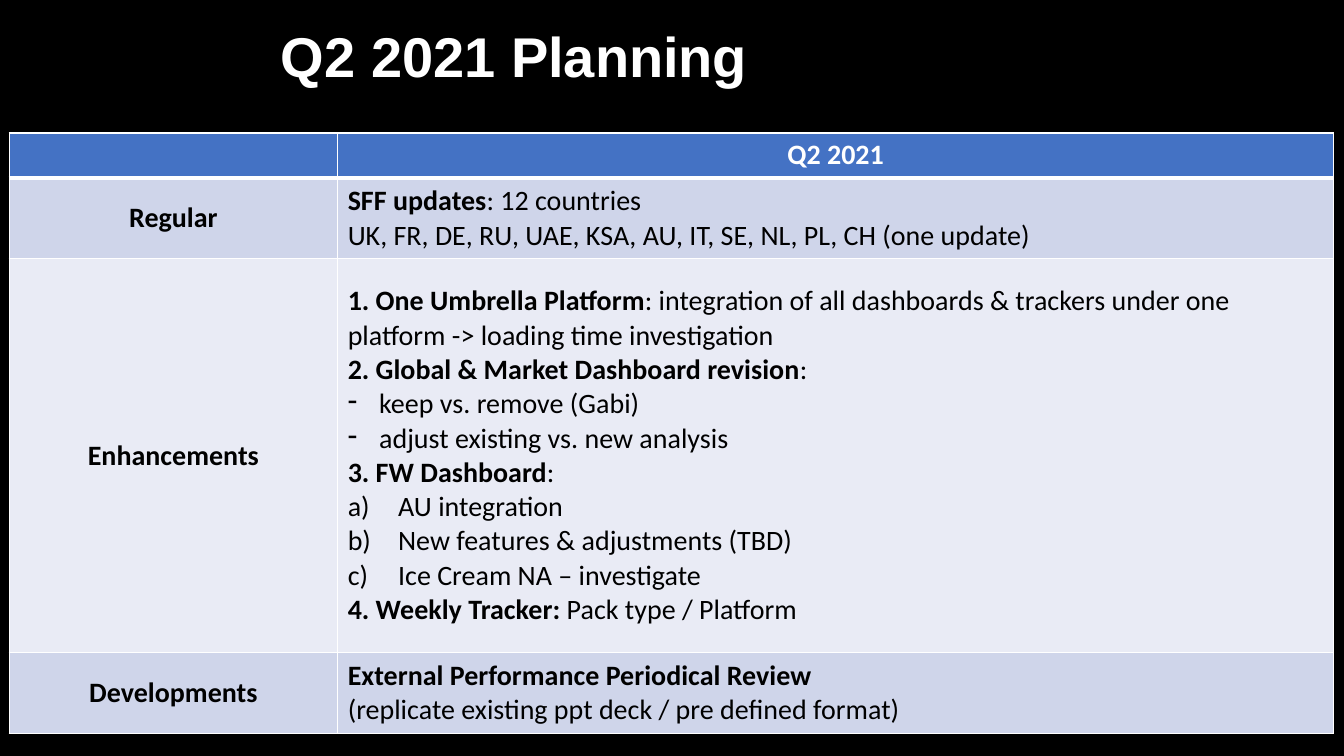
from lxml.etree import SubElement
from pptx import Presentation
from pptx.dml.color import RGBColor
from pptx.enum.shapes import MSO_SHAPE as Preset
from pptx.enum.text import MSO_ANCHOR as Anchor, MSO_AUTO_SIZE as AutoSize, PP_ALIGN as Align
from pptx.oxml.ns import qn
from pptx.util import Cm, Pt

BULLETS = {
    "-": (0.79, "a:buChar", {"char": "-"}),
    "a)": (1.27, "a:buAutoNum", {"type": "alphaLcParenR"}),
}
REGULAR = [
    ("", "SFF updates", ": 12 countries"),
    ("", "", "UK, FR, DE, RU, UAE, KSA, AU, IT, SE, NL, PL, CH (one update)"),
]
ENHANCEMENTS = [
    ("", "1. One Umbrella Platform", ": integration of all dashboards & trackers "
     "under one platform -> loading time investigation"),
    ("", "2. Global & Market Dashboard revision", ":"),
    ("-", "", "keep vs. remove (Gabi)"),
    ("-", "", "adjust existing vs. new analysis"),
    ("", "3. FW Dashboard", ":"),
    ("a)", "", "AU integration"),
    ("a)", "", "New features & adjustments (TBD)"),
    ("a)", "", "Ice Cream NA – investigate"),
    ("", "4. Weekly Tracker: ", "Pack type / Platform"),
]
DEVELOPMENTS = [
    ("", "External Performance Periodical Review", ""),
    ("", "", "(replicate existing ppt deck / pre defined format)"),
]
PLAN = [
    (1.14, "4472C4", "", [("", "Q2 2021", "")]),
    (2.03, "CFD5EA", "Regular", REGULAR),
    (9.93, "E9EBF5", "Enhancements", ENHANCEMENTS),
    (2.03, "CFD5EA", "Developments", DEVELOPMENTS),
]


def paint(colour_format, colour):
    """Set a fill or font colour from a hex string."""
    colour_format.rgb = RGBColor.from_string(colour)


def set_font(paragraph, family, size, colour):
    """Set the font that all runs of a paragraph share."""
    font = paragraph.font
    font.name, font.size = family, Pt(size)
    paint(font.color, colour)


def add_backdrop(slide, width, height, colour):
    """Cover the slide with a plain colour."""
    backdrop = slide.shapes.add_shape(Preset.RECTANGLE, 0, 0, width, height)
    backdrop.shadow.inherit = False
    backdrop.fill.solid()
    paint(backdrop.fill.fore_color, colour)
    backdrop.line.fill.background()


def add_title(slide, wording):
    """Add the slide heading."""
    frame = slide.shapes.add_textbox(Cm(6.83), Cm(0.43), Cm(25.35), Cm(1.96)).text_frame
    frame.word_wrap = True
    frame.auto_size = AutoSize.SHAPE_TO_FIT_TEXT
    heading = frame.paragraphs[0]
    heading.text = wording
    set_font(heading, "Arial", 40, "FFFFFF")
    heading.font.bold = True


def set_borders(cell, header):
    """Draw white borders, with a heavy rule under the header."""
    properties = cell._tc.get_or_add_tcPr()
    for side in "LRTB":
        weight = 3 if header and side == "B" else 1
        border = SubElement(properties, qn(f"a:ln{side}"), w=str(Pt(weight)))
        SubElement(SubElement(border, qn("a:solidFill")), qn("a:srgbClr"), val="FFFFFF")


def set_bullet(paragraph, mark):
    """Give a paragraph a hanging bullet or letter."""
    indent, tag, attributes = BULLETS[mark]
    properties = paragraph._p.get_or_add_pPr()
    properties.set("marL", str(Cm(indent)))
    properties.set("indent", str(-Cm(indent)))
    SubElement(properties, qn(tag), attributes)


def fill_cell(cell, lines, colour, header, centred):
    """Write lines of bold and plain wording into a cell."""
    set_borders(cell, header)
    cell.fill.solid()
    paint(cell.fill.fore_color, colour)
    cell.vertical_anchor = Anchor.TOP if header else Anchor.MIDDLE
    frame = cell.text_frame
    for index, (mark, strong, plain) in enumerate(lines):
        paragraph = frame.add_paragraph() if index else frame.paragraphs[0]
        if mark:
            set_bullet(paragraph, mark)
        if centred:
            paragraph.alignment = Align.CENTER
        set_font(paragraph, "Calibri", 20, "FFFFFF" if header else "000000")
        for wording, bold in ((strong, True), (plain, False)):
            if wording:
                run = paragraph.add_run()
                run.text, run.font.bold = wording, bold


def add_plan(slide):
    """Add the planning table."""
    plan = slide.shapes.add_table(
        len(PLAN), 2, Cm(0.23), Cm(3.35), Cm(33.38), Cm(15.13)).table
    plan.columns[0].width, plan.columns[1].width = Cm(8.28), Cm(25.1)
    for index, (height, colour, topic, lines) in enumerate(PLAN):
        header = index == 0
        plan.rows[index].height = Cm(height)
        fill_cell(plan.cell(index, 0), [("", topic, "")], colour, header, True)
        fill_cell(plan.cell(index, 1), lines, colour, header, header)


def main():
    """Build and save the planning slide."""
    deck = Presentation()
    deck.slide_width, deck.slide_height = Cm(33.87), Cm(19.05)
    slide = deck.slides.add_slide(deck.slide_layouts[6])
    add_backdrop(slide, deck.slide_width, deck.slide_height, "000000")
    add_title(slide, "Q2 2021 Planning")
    add_plan(slide)
    deck.save("out.pptx")


if __name__ == "__main__":
    main()
